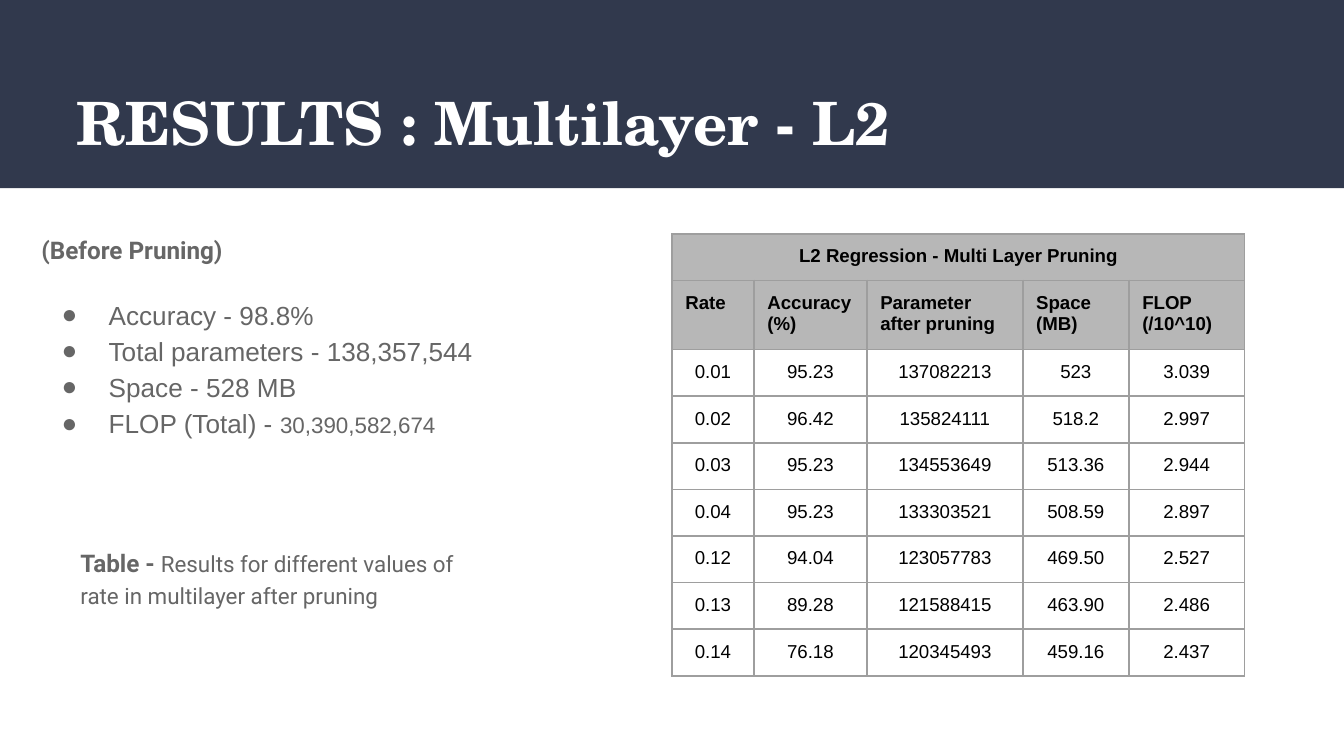
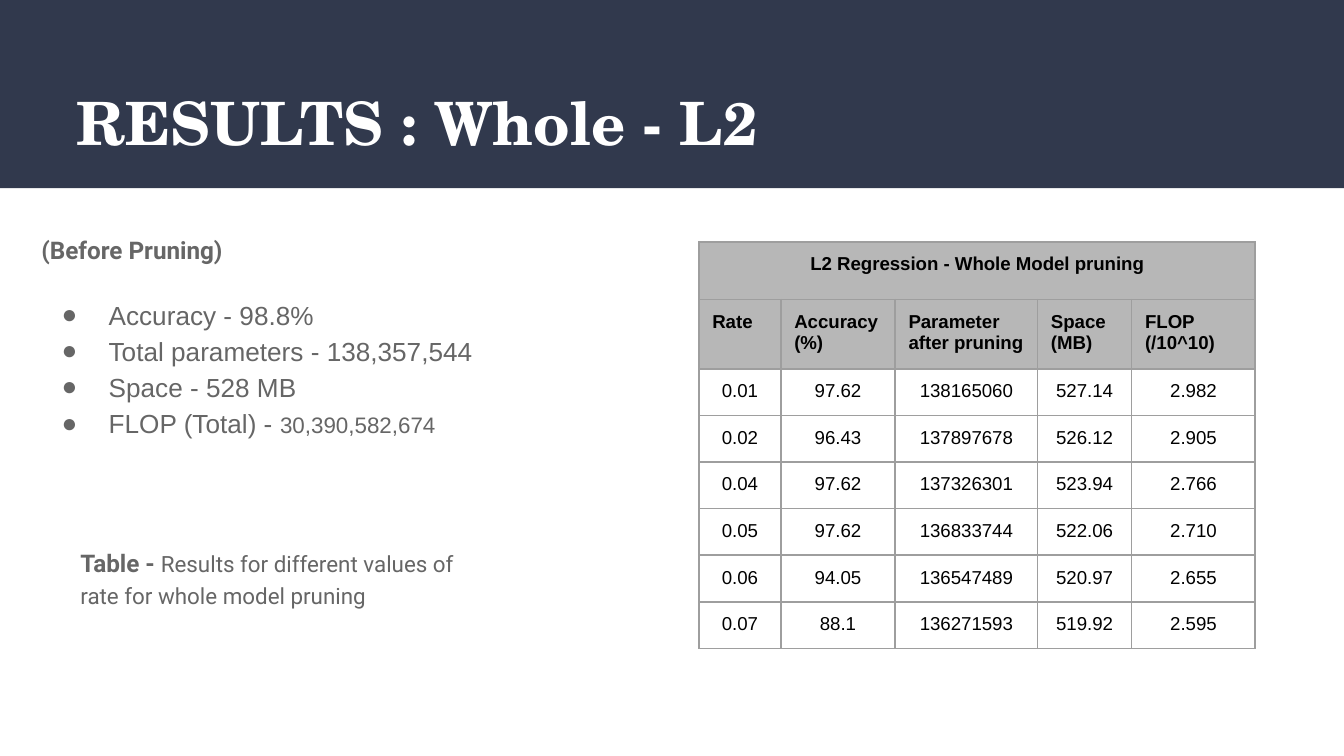
from dataclasses import dataclass

import pptx
import pptx.dml.color
import pptx.enum.shapes
import pptx.enum.text
import pptx.oxml
import pptx.oxml.ns
import pptx.presentation
import pptx.slide
import pptx.table
import pptx.text.text
import pptx.util
from pptx.util import Inches

RGBColor = pptx.dml.color.RGBColor
NAVY = RGBColor(0x31, 0x39, 0x4D)
WHITE = RGBColor(0xFF, 0xFF, 0xFF)
GRAY = RGBColor(0x66, 0x66, 0x66)
HEADER_GRAY = RGBColor(0xB7, 0xB7, 0xB7)
BORDER_GRAY = RGBColor(0x9E, 0x9E, 0x9E)
BLACK = RGBColor(0x00, 0x00, 0x00)

TITLE_FONT = "TeX Gyre Schola"
HEADING_FONT = "Roboto"
BODY_FONT = "Arial"

SLIDE_WIDTH = Inches(10)
SLIDE_HEIGHT = SLIDE_WIDTH * 9 // 16
MARGIN = Inches(0.1)
CELL_VERTICAL_MARGIN = Inches(0.09)
LINE_SPACING = 1.15
HEADERS = ("Rate", "Accuracy (%)", "Parameter after pruning", "Space (MB)", "FLOP (/10^10)")
HEADER_HEIGHT = 0.43
ROW_HEIGHT = 0.29


@dataclass(frozen=True)
class TextPart:
    text: str
    size: float
    bold: bool = False


@dataclass(frozen=True)
class ResultsTable:
    title: str
    left: float
    top: float
    title_height: float
    column_widths: tuple[float, ...]
    rows: tuple[tuple[str, ...], ...]


@dataclass(frozen=True)
class ResultsSlide:
    title: str
    caption: str
    table: ResultsTable


BEFORE_PRUNING = (
    (TextPart("Accuracy - 98.8%", 14),),
    (TextPart("Total parameters - 138,357,544", 14),),
    (TextPart("Space - 528 MB", 14),),
    (TextPart("FLOP (Total) - ", 14), TextPart("30,390,582,674", 12)),
)

RESULTS = (
    ResultsSlide(
        "RESULTS : Multilayer - L2",
        "Results for different values of rate in multilayer after pruning",
        ResultsTable(
            "L2 Regression - Multi Layer Pruning", 5, 1.74, 0.32,
            (0.61, 0.84, 1.16, 0.79, 0.86),
            (
                ("0.01", "95.23", "137082213", "523", "3.039"),
                ("0.02", "96.42", "135824111", "518.2", "2.997"),
                ("0.03", "95.23", "134553649", "513.36", "2.944"),
                ("0.04", "95.23", "133303521", "508.59", "2.897"),
                ("0.12", "94.04", "123057783", "469.50", "2.527"),
                ("0.13", "89.28", "121588415", "463.90", "2.486"),
                ("0.14", "76.18", "120345493", "459.16", "2.437"),
            ),
        ),
    ),
    ResultsSlide(
        "RESULTS : Whole - L2",
        "Results for different values of rate for whole model pruning",
        ResultsTable(
            "L2 Regression - Whole Model pruning", 5.2, 1.8, 0.43,
            (0.61, 0.85, 1.06, 0.7, 0.92),
            (
                ("0.01", "97.62", "138165060", "527.14", "2.982"),
                ("0.02", "96.43", "137897678", "526.12", "2.905"),
                ("0.04", "97.62", "137326301", "523.94", "2.766"),
                ("0.05", "97.62", "136833744", "522.06", "2.710"),
                ("0.06", "94.05", "136547489", "520.97", "2.655"),
                ("0.07", "88.1", "136271593", "519.92", "2.595"),
            ),
        ),
    ),
)


def add_text_frame(
    slide: pptx.slide.Slide, left: float, top: float, width: float, height: float
) -> pptx.text.text.TextFrame:
    box = slide.shapes.add_textbox(Inches(left), Inches(top), Inches(width), Inches(height))
    frame = box.text_frame
    frame.word_wrap = True
    frame.margin_left = frame.margin_right = MARGIN
    frame.margin_top = frame.margin_bottom = MARGIN
    return frame


def write_parts(
    paragraph: pptx.text.text._Paragraph,
    parts: tuple[TextPart, ...],
    font_name: str,
    color: RGBColor,
) -> None:
    """Set shared formatting on the paragraph and only differences on its runs."""
    first = parts[0]
    font = paragraph.font
    font.name = font_name
    font.color.rgb = color
    font.size = pptx.util.Pt(first.size)
    font.bold = first.bold
    for part in parts:
        run = paragraph.add_run()
        run.text = part.text
        if part.size != first.size:
            run.font.size = pptx.util.Pt(part.size)
        if part.bold != first.bold:
            run.font.bold = part.bold


def indent_paragraph(
    paragraph: pptx.text.text._Paragraph, left: float, first_line: float = 0
) -> None:
    properties = paragraph._p.get_or_add_pPr()
    properties.set("marL", str(Inches(left)))
    properties.set("indent", str(Inches(first_line)))


def add_bullet(paragraph: pptx.text.text._Paragraph) -> None:
    indent_paragraph(paragraph, 0.5, -0.35)
    namespace = pptx.oxml.ns.nsdecls("a")
    for markup in (
        f'<a:buClr {namespace}><a:srgbClr val="{GRAY}"/></a:buClr>',
        f'<a:buFont {namespace} typeface="{BODY_FONT}"/>',
        f'<a:buChar {namespace} char="●"/>',
    ):
        paragraph._p.get_or_add_pPr().append(pptx.oxml.parse_xml(markup))


def add_title_band(slide: pptx.slide.Slide, title: str) -> None:
    band = slide.shapes.add_shape(
        pptx.enum.shapes.MSO_SHAPE.RECTANGLE, 0, 0, SLIDE_WIDTH, Inches(1.4)
    )
    band.shadow.inherit = False
    band.fill.solid()
    band.fill.fore_color.rgb = NAVY
    band.line.fill.background()
    frame = add_text_frame(slide, 0.34, 0.54, 9.32, 0.68)
    frame.margin_left = Inches(0.23)
    write_parts(frame.paragraphs[0], (TextPart(title, 32, True),), TITLE_FONT, WHITE)


def add_before_pruning(slide: pptx.slide.Slide) -> None:
    frame = add_text_frame(slide, 0.21, 1.62, 3.68, 3.81)
    heading = frame.paragraphs[0]
    heading.line_spacing = LINE_SPACING
    write_parts(heading, (TextPart("(Before Pruning)", 13, True),), HEADING_FONT, GRAY)
    for index, parts in enumerate(BEFORE_PRUNING):
        paragraph = frame.add_paragraph()
        add_bullet(paragraph)
        paragraph.line_spacing = LINE_SPACING
        if index == 0:
            paragraph.space_before = pptx.util.Pt(16)
        write_parts(paragraph, parts, BODY_FONT, GRAY)


def add_caption(slide: pptx.slide.Slide, caption: str) -> None:
    paragraph = add_text_frame(slide, 0, 3.95, 3.74, 0.63).paragraphs[0]
    indent_paragraph(paragraph, 0.5)
    paragraph.line_spacing = LINE_SPACING
    parts = (TextPart("Table - ", 13, True), TextPart(caption, 12))
    write_parts(paragraph, parts, HEADING_FONT, GRAY)


def add_cell_borders(cell: pptx.table._Cell) -> None:
    properties = cell._tc.get_or_add_tcPr()
    for side in ("lnL", "lnR", "lnT", "lnB"):
        properties.append(pptx.oxml.parse_xml(
            f'<a:{side} {pptx.oxml.ns.nsdecls("a")} w="{pptx.util.Pt(1)}">'
            f'<a:solidFill><a:srgbClr val="{BORDER_GRAY}"/></a:solidFill></a:{side}>'
        ))


def format_cell(cell: pptx.table._Cell, text: str, is_header: bool, centered: bool) -> None:
    cell.margin_left = cell.margin_right = MARGIN
    cell.margin_top = cell.margin_bottom = CELL_VERTICAL_MARGIN
    add_cell_borders(cell)
    if is_header:
        cell.fill.solid()
        cell.fill.fore_color.rgb = HEADER_GRAY
    else:
        cell.fill.background()
    if text:
        paragraph = cell.text_frame.paragraphs[0]
        if centered:
            paragraph.alignment = pptx.enum.text.PP_ALIGN.CENTER
        write_parts(paragraph, (TextPart(text, 10, is_header),), BODY_FONT, BLACK)


def add_results_table(slide: pptx.slide.Slide, results: ResultsTable) -> None:
    title_row = (results.title,) + ("",) * (len(HEADERS) - 1)
    rows = (title_row, HEADERS) + results.rows
    heights = (results.title_height, HEADER_HEIGHT) + (ROW_HEIGHT,) * len(results.rows)
    table = slide.shapes.add_table(
        len(rows), len(HEADERS), Inches(results.left), Inches(results.top),
        Inches(sum(results.column_widths)), Inches(sum(heights)),
    ).table
    table.first_row = False
    table.horz_banding = False
    for column, width in zip(table.columns, results.column_widths):
        column.width = Inches(width)
    for row_index, (values, height) in enumerate(zip(rows, heights)):
        table.rows[row_index].height = Inches(height)
        for column_index, value in enumerate(values):
            format_cell(
                table.cell(row_index, column_index), value,
                is_header=row_index < 2, centered=row_index != 1,
            )
    table.cell(0, 0).merge(table.cell(0, len(HEADERS) - 1))


def add_results_slide(
    presentation: pptx.presentation.Presentation, results: ResultsSlide
) -> None:
    slide = presentation.slides.add_slide(presentation.slide_layouts[6])
    add_title_band(slide, results.title)
    add_before_pruning(slide)
    add_caption(slide, results.caption)
    add_results_table(slide, results.table)


def main() -> None:
    presentation = pptx.Presentation()
    presentation.slide_width = SLIDE_WIDTH
    presentation.slide_height = SLIDE_HEIGHT
    for results in RESULTS:
        add_results_slide(presentation, results)
    presentation.save("out.pptx")


if __name__ == "__main__":
    main()
